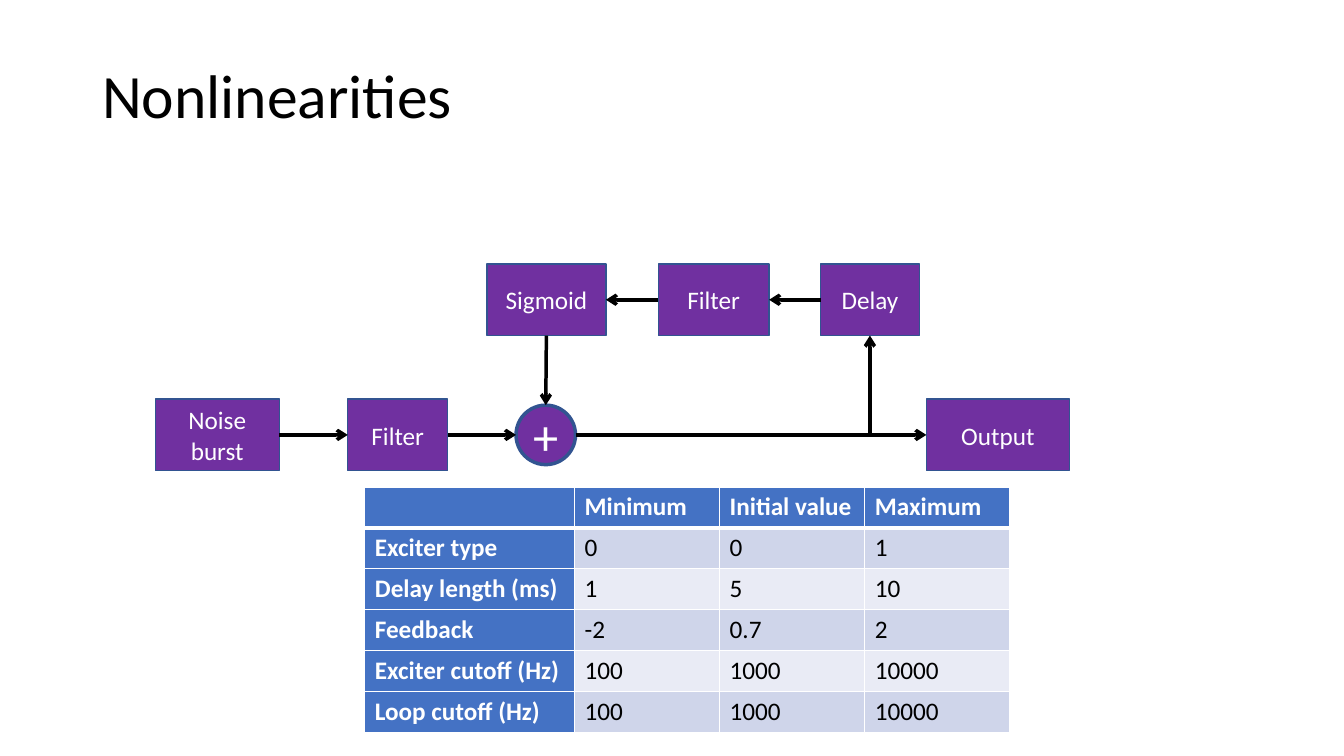
"""Build the Nonlinearities slide: a feedback signal chain above its parameter table."""
import dataclasses

import lxml.etree
import pptx
import pptx.dml.color
import pptx.enum.shapes
import pptx.enum.text
import pptx.oxml.ns
import pptx.util

Pt = pptx.util.Pt
SHAPE = pptx.enum.shapes.MSO_SHAPE
ALIGN = pptx.enum.text.PP_ALIGN
TOP, LEFT, BOTTOM, RIGHT = (0.5, 0), (0, 0.5), (0.5, 1), (1, 0.5)


@dataclasses.dataclass(frozen=True)
class Theme:
    """Colours, font and sizes of the slide."""
    font: str = "Calibri"
    title_size: float = 44
    body_size: float = 18
    plus_size: float = 36
    black: str = "000000"
    white: str = "FFFFFF"
    block: str = "7030A0"
    outline: str = "325491"
    header: str = "4472C4"
    bands: tuple = ("CFD5EA", "E9EBF5")
    thin: float = 1
    thick: float = 2.5
    header_rule: float = 3


THEME = Theme()

PARAMETERS = [
    ("", "Minimum", "Initial value", "Maximum"),
    ("Exciter type", "0", "0", "1"),
    ("Delay length (ms)", "1", "5", "10"),
    ("Feedback", "-2", "0.7", "2"),
    ("Exciter cutoff (Hz)", "100", "1000", "10000"),
    ("Loop cutoff (Hz)", "100", "1000", "10000"),
]


def rgb(colour):
    """Turn a hex string into a colour."""
    return pptx.dml.color.RGBColor.from_string(colour)


def add_span(para, text, size, colour, bold=False):
    """Add one formatted run to a paragraph."""
    span = para.add_run()
    span.text = text
    span.font.name = THEME.font
    span.font.size = Pt(size)
    span.font.bold = bold
    span.font.color.rgb = rgb(colour)


def add_title(page, box, text):
    """Place the slide title in its box."""
    frame = page.shapes.add_textbox(*map(Pt, box)).text_frame
    frame.word_wrap = True
    frame.vertical_anchor = pptx.enum.text.MSO_ANCHOR.MIDDLE
    para = frame.paragraphs[0]
    para.line_spacing = 0.9
    add_span(para, text, THEME.title_size, THEME.black)


def add_block(page, kind, box, lines, size=THEME.body_size, weight=THEME.thin):
    """Draw one labelled block of the signal chain."""
    block = page.shapes.add_shape(kind, *map(Pt, box))
    block.shadow.inherit = False
    block.fill.solid()
    block.fill.fore_color.rgb = rgb(THEME.block)
    block.line.color.rgb = rgb(THEME.outline)
    block.line.width = Pt(weight)
    frame = block.text_frame
    frame.word_wrap = True
    frame.vertical_anchor = pptx.enum.text.MSO_ANCHOR.MIDDLE
    if kind == SHAPE.OVAL:
        frame.margin_left = frame.margin_right = 0
        frame.margin_top = frame.margin_bottom = 0
    for index, line in enumerate(lines):
        para = frame.add_paragraph() if index else frame.paragraphs[0]
        para.alignment = ALIGN.CENTER
        add_span(para, line, size, THEME.white)
    return block


def edge_point(block, side):
    """Give the midpoint of a block's side."""
    across, down = side
    return (block.left + int(block.width * across),
            block.top + int(block.height * down))


def add_arrow(page, start, end):
    """Draw an arrow from one point to another."""
    arrow = page.shapes.add_connector(
        pptx.enum.shapes.MSO_CONNECTOR.STRAIGHT, *start, *end)
    arrow.line.color.rgb = rgb(THEME.black)
    arrow.line.width = Pt(THEME.thick)
    qn = pptx.oxml.ns.qn
    line = arrow.line._get_or_add_ln()
    lxml.etree.SubElement(line, qn("a:tailEnd"), type="arrow")
    lxml.etree.SubElement(line.getparent(), qn("a:effectLst"))


def add_signal_chain(page, box):
    """Draw the exciter row, the feedback row above it and their arrows."""
    left, top, width, height = box
    block_height = 51.1
    exciter_top = top + height - block_height
    middle = exciter_top + block_height / 2
    diameter = 42.5

    def rectangle(offset, y, block_width, *lines):
        """Place a rectangular block in one of the rows."""
        return add_block(page, SHAPE.RECTANGLE,
                         (left + offset, y, block_width, block_height), lines)

    noise = rectangle(0, exciter_top, 88.6, "Noise", "burst")
    exciter_filter = rectangle(137.5, exciter_top, 71.5, "Filter")
    output = rectangle(width - 102.2, exciter_top, 102.2, "Output")
    sigmoid = rectangle(236.9, top, 85, "Sigmoid")
    loop_filter = rectangle(359.3, top, 79.2, "Filter")
    delay = rectangle(475.2, top, 70.6, "Delay")
    total = add_block(page, SHAPE.OVAL,
                      (left + 257.7, middle - diameter / 2, diameter, diameter),
                      ["+"], THEME.plus_size, THEME.thick)

    for start, start_side, end, end_side in (
            (noise, RIGHT, exciter_filter, LEFT),
            (exciter_filter, RIGHT, total, LEFT),
            (total, RIGHT, output, LEFT),
            (delay, LEFT, loop_filter, RIGHT),
            (loop_filter, LEFT, sigmoid, RIGHT),
            (sigmoid, BOTTOM, total, TOP)):
        add_arrow(page, edge_point(start, start_side), edge_point(end, end_side))
    delay_input = edge_point(delay, BOTTOM)
    add_arrow(page, (delay_input[0], Pt(middle)), delay_input)


def add_borders(cell, row_index):
    """Rule a cell in white, heavier under the header row."""
    qn = pptx.oxml.ns.qn
    heavy = {0: "lnB", 1: "lnT"}.get(row_index)
    properties = cell._tc.get_or_add_tcPr()
    for index, edge in enumerate(("lnL", "lnR", "lnT", "lnB")):
        weight = THEME.header_rule if edge == heavy else THEME.thin
        rule = lxml.etree.Element(qn(f"a:{edge}"), w=str(int(Pt(weight))))
        fill = lxml.etree.SubElement(rule, qn("a:solidFill"))
        lxml.etree.SubElement(fill, qn("a:srgbClr"), val=THEME.white)
        properties.insert(index, rule)


def add_parameter_table(page, box, rows):
    """Place the parameter table with a header row, header column and bands."""
    left, top, width, height = box
    first_width = 149.8
    table = page.shapes.add_table(len(rows), len(rows[0]), *map(Pt, box)).table
    table.first_row = table.horz_banding = False
    for index, column in enumerate(table.columns):
        column.width = Pt((width - first_width) / (len(rows[0]) - 1) if index else first_width)
    for row_index, values in enumerate(rows):
        table.rows[row_index].height = Pt(height / len(rows))
        for column_index, value in enumerate(values):
            heading = row_index == 0 or column_index == 0
            cell = table.cell(row_index, column_index)
            cell.fill.solid()
            band = THEME.bands[(row_index - 1) % 2]
            cell.fill.fore_color.rgb = rgb(THEME.header if heading else band)
            add_borders(cell, row_index)
            if value:
                add_span(cell.text_frame.paragraphs[0], value, THEME.body_size,
                         THEME.white if heading else THEME.black, heading)


def main():
    """Build and save the deck."""
    deck = pptx.Presentation()
    deck.slide_width, deck.slide_height = Pt(960), Pt(540)
    page = deck.slides.add_slide(deck.slide_layouts[6])
    add_title(page, (66, 28.8, 828, 83.5), "Nonlinearities")
    add_parameter_table(page, (260.6, 347.8, 460.8, 175.2), PARAMETERS)
    add_signal_chain(page, (110.9, 188.6, 653, 147.6))
    deck.save("out.pptx")


if __name__ == "__main__":
    main()
